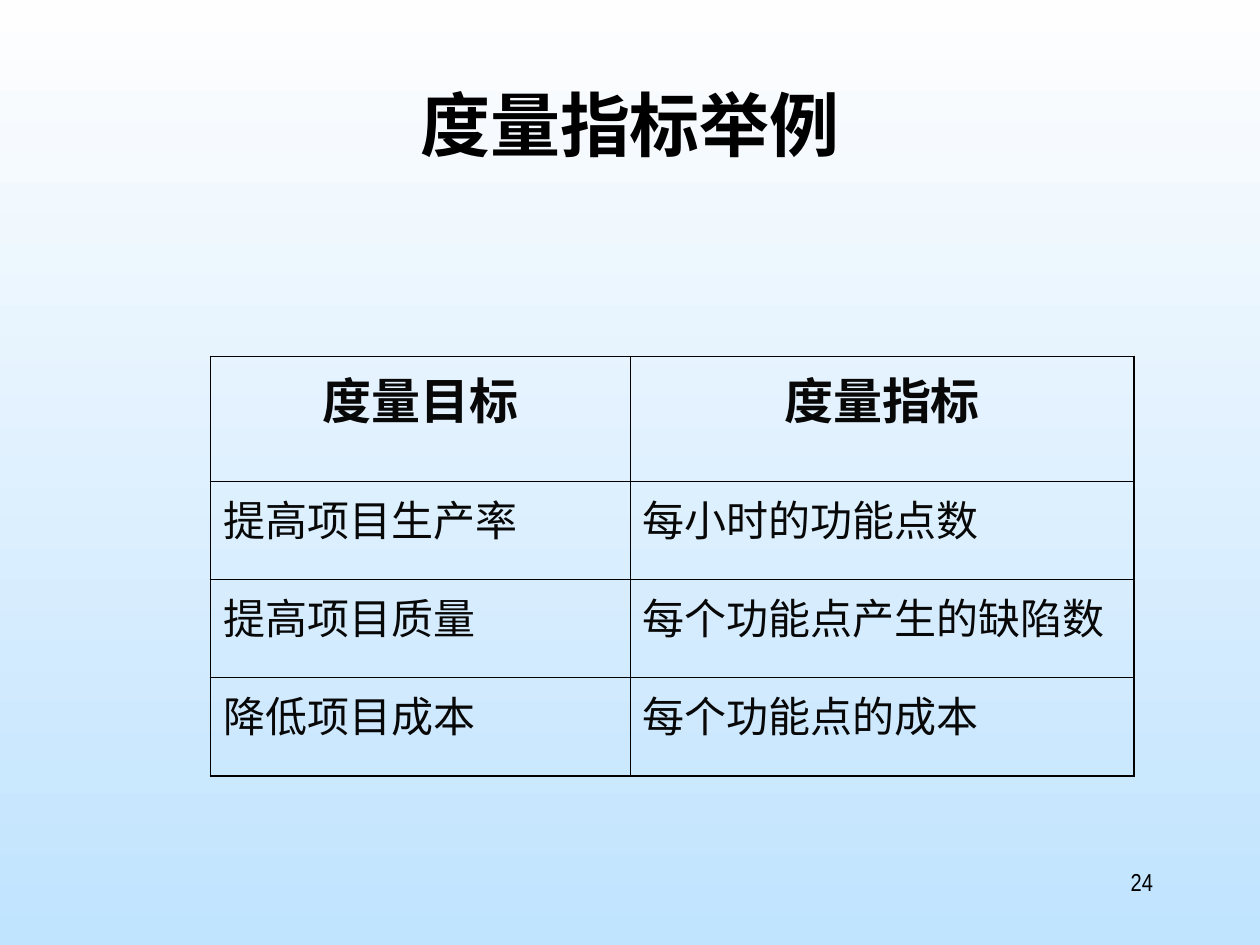
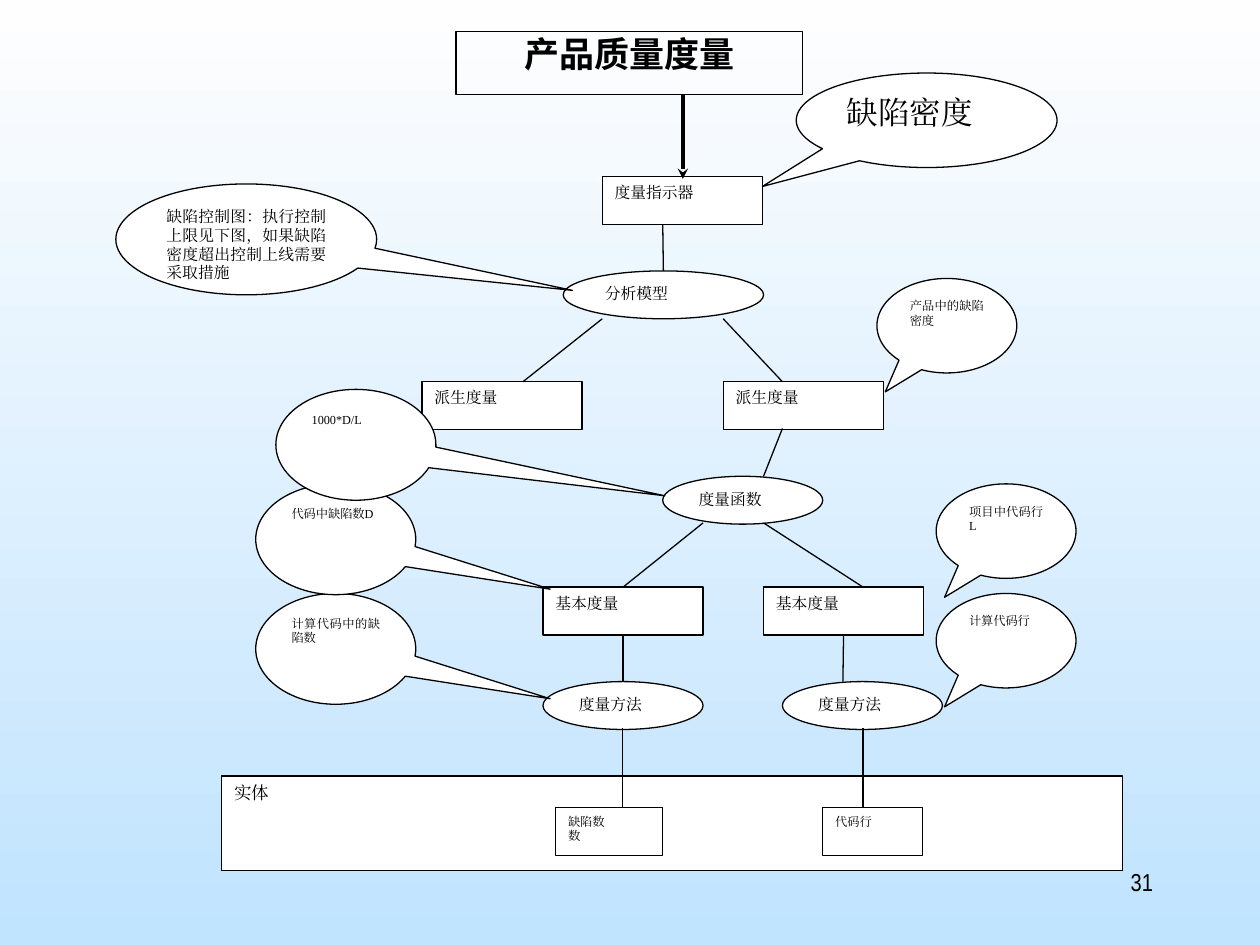
"""Build two slides on software measurement: a table of example metrics and a quality measurement tree."""
from lxml.etree import SubElement
from pptx import Presentation
from pptx.dml.color import RGBColor
from pptx.enum.shapes import MSO_CONNECTOR, MSO_SHAPE as Shape
from pptx.enum.text import MSO_ANCHOR as Anchor, PP_ALIGN as Align
from pptx.oxml import parse_xml
from pptx.oxml.ns import nsdecls, qn
from pptx.util import Inches, Pt

BLACK = RGBColor(0x00, 0x00, 0x00)
NEAR_BLACK = RGBColor(0x08, 0x08, 0x08)
WHITE = RGBColor(0xFF, 0xFF, 0xFF)
SKY_TOP = RGBColor(0xFE, 0xFE, 0xFE)
SKY_BOTTOM = RGBColor(0xC0, 0xE3, 0xFE)
CJK, SERIF, NARROW, MONO = "Noto Sans CJK SC", "Times New Roman", "Arial Narrow", "Noto Sans Mono"

METRICS_TITLE = "度量指标举例"
METRICS = [
    ("度量目标", "度量指标"),
    ("提高项目生产率", "每小时的功能点数"),
    ("提高项目质量", "每个功能点产生的缺陷数"),
    ("降低项目成本", "每个功能点的成本"),
]
COLUMN_WIDTHS = (3.33, 4)
ROW_HEIGHTS = (0.99, 0.78, 0.78, 0.78)
OUTER, INNER = 1.08, 0.45

QUALITY_TITLE = "产品质量度量"
BOX, OVAL = Shape.RECTANGLE, Shape.OVAL
NODE_W, NODE_H = 1.27, 0.38
NODES = {
    "indicator": ("度量指示器", BOX, 4.78, 1.4, NODE_W, NODE_H, 9),
    "model": ("分析模型", OVAL, 4.47, 2.15, 1.59, NODE_H, 9),
    "derived_left": ("派生度量", BOX, 3.35, 3.03, NODE_W, NODE_H, 9),
    "derived_right": ("派生度量", BOX, 5.74, 3.03, NODE_W, NODE_H, 9),
    "function": ("度量函数", OVAL, 5.26, 3.78, NODE_W, NODE_H, 9),
    "base_left": ("基本度量", BOX, 4.31, 4.66, NODE_W, NODE_H, 9),
    "base_right": ("基本度量", BOX, 6.06, 4.66, NODE_W, NODE_H, 9),
    "method_left": ("度量方法", OVAL, 4.31, 5.41, NODE_W, NODE_H, 9),
    "method_right": ("度量方法", OVAL, 6.21, 5.41, NODE_W, NODE_H, 9),
    "entity": ("实体", BOX, 1.76, 6.16, 7.15, 0.75, 10),
    "defects": ("缺陷数\n数", BOX, 4.41, 6.41, 0.85, NODE_H, 7),
    "code_lines": ("代码行", BOX, 6.53, 6.41, 0.79, NODE_H, 7),
}
TOP, BOTTOM = 0, 2
LINKS = [
    ((5.26, 1.78), (5.26, 2.15), None, ("model", TOP)),
    ((4.78, 2.53), (4.15, 3.03), None, None),
    ((5.74, 2.53), (6.21, 3.03), None, None),
    ((6.21, 3.4), (6.06, 3.78), None, None),
    ((5.58, 4.15), (4.94, 4.66), None, ("base_left", TOP)),
    ((6.06, 4.15), (6.85, 4.66), None, None),
    ((4.94, 5.03), (4.94, 5.41), ("base_left", BOTTOM), ("method_left", TOP)),
    ((6.69, 5.03), (6.69, 5.41), ("base_right", BOTTOM), None),
    ((4.94, 5.78), (4.94, 6.41), None, None),
    ((6.85, 5.78), (6.85, 6.41), None, None),
]
CALLOUTS = [
    ("计算代码行", 7.43, 4.71, 1.11, 0.75, 7, (-0.44, 0.7)),
    ("计算代码中的缺陷数", 2.03, 4.71, 1.27, 0.88, 7, (1.34, 0.45)),
    ("项目中代码行L", 7.43, 3.84, 1.11, 0.75, 7, (-0.44, 0.7)),
    ("代码中缺陷数D", 2.03, 3.84, 1.27, 0.88, 7, (1.34, 0.45)),
    ("1000*D/L", 2.19, 3.09, 1.27, 0.88, 7, (1.93, 0.46)),
    ("产品中的缺陷密度", 6.96, 2.21, 1.11, 0.75, 7, (-0.44, 0.7)),
    ("缺陷控制图：执行控制上限见下图，如果缺陷密度超出控制上线需要采取措施",
     0.92, 1.46, 2.07, 0.88, 9, (1.25, 0.46)),
    ("缺陷密度", 6.32, 0.58, 2.07, 0.75, 18, (-0.63, 0.7)),
]


def write(frame, text, size, font=SERIF, east_asian=None, color=BLACK, bold=False,
          align=Align.JUSTIFY, spacing=None):
    frame.word_wrap = True
    frame.vertical_anchor = Anchor.TOP
    for index, line in enumerate(text.split("\n")):
        paragraph = frame.add_paragraph() if index else frame.paragraphs[0]
        paragraph.alignment = align
        if spacing:
            paragraph.line_spacing = spacing
        run = paragraph.add_run()
        run.text = line
        run.font.size, run.font.bold, run.font.name = Pt(size), bold, font
        run.font.color.rgb = color
        SubElement(run.font._element, qn("a:ea")).set("typeface", east_asian or font)


def add_node(slide, text, kind, left, top, width, height, size):
    node = slide.shapes.add_shape(kind, *map(Inches, (left, top, width, height)))
    node.shadow.inherit = False
    node.fill.solid()
    node.fill.fore_color.rgb = WHITE
    node.line.color.rgb = BLACK
    node.line.width = Pt(0.75)
    write(node.text_frame, text, size)
    return node


def add_link(slide, start, end, width=0.75):
    link = slide.shapes.add_connector(MSO_CONNECTOR.STRAIGHT, *map(Inches, start + end))
    link.line.color.rgb = BLACK
    link.line.width = Pt(width)
    SubElement(link._element.spPr, qn("a:effectLst"))
    return link


def add_slide(deck, number):
    slide = deck.slides.add_slide(deck.slide_layouts[6])
    sky = slide.background.fill
    sky.gradient()
    sky.gradient_angle = 270
    for stop, color, position in zip(sky.gradient_stops, (SKY_TOP, SKY_BOTTOM), (0, 1)):
        stop.color.rgb = color
        stop.position = position
    page = slide.shapes.add_textbox(*map(Inches, (7.17, 6.83, 2.08, 0.5)))
    write(page.text_frame, str(number), 14, font=NARROW, align=Align.RIGHT)
    return slide


def add_title(slide, text, place, size):
    title = slide.shapes.add_textbox(*map(Inches, place))
    write(title.text_frame, text, size, font=CJK, bold=True, align=Align.CENTER, spacing=0.9)
    return title


def set_borders(cell, widths):
    for position, (side, width) in enumerate(widths.items()):
        cell._tc.get_or_add_tcPr().insert(position, parse_xml(
            f'<a:ln{side} {nsdecls("a")} w="{Pt(width)}"><a:solidFill>'
            f'<a:srgbClr val="{BLACK}"/></a:solidFill></a:ln{side}>'))


def build_metrics(deck):
    slide = add_slide(deck, 24)
    add_title(slide, METRICS_TITLE, (0.75, 0.67, 8.5, 1.25), 40)
    last_row, last_column = len(METRICS) - 1, len(COLUMN_WIDTHS) - 1
    table = slide.shapes.add_table(
        last_row + 1, last_column + 1,
        *map(Inches, (1.67, 2.83, sum(COLUMN_WIDTHS), sum(ROW_HEIGHTS)))).table
    table.first_row = table.horz_banding = False
    for column, width in zip(table.columns, COLUMN_WIDTHS):
        column.width = Inches(width)
    for r, (row, height) in enumerate(zip(METRICS, ROW_HEIGHTS)):
        table.rows[r].height = Inches(height)
        for c, text in enumerate(row):
            cell = table.cell(r, c)
            cell.fill.background()
            if r == 0:
                write(cell.text_frame, text, 28, font=(NARROW, MONO)[c], east_asian=CJK,
                      color=NEAR_BLACK, bold=True, align=Align.CENTER)
            else:
                write(cell.text_frame, text, 24, font=CJK, color=NEAR_BLACK)
            set_borders(cell, {
                "L": OUTER if c == 0 else INNER,
                "R": OUTER if c == last_column else INNER,
                "T": OUTER if r == 0 else INNER,
                "B": OUTER if r == last_row else INNER,
            })


def build_quality(deck):
    slide = add_slide(deck, 31)
    title = add_title(slide, QUALITY_TITLE, (3.62, 0.25, 2.75, 0.5), 20)
    title.line.color.rgb = BLACK
    title.line.width = Pt(0.75)
    nodes = {key: add_node(slide, *node) for key, node in NODES.items()}
    for start, end, source, target in LINKS:
        link = add_link(slide, start, end)
        if source:
            link.begin_connect(nodes[source[0]], source[1])
        if target:
            link.end_connect(nodes[target[0]], target[1])
    for text, left, top, width, height, size, tip in CALLOUTS:
        callout = add_node(slide, text, Shape.OVAL_CALLOUT, left, top, width, height, size)
        callout.adjustments[0], callout.adjustments[1] = tip
    arrow = add_link(slide, (5.42, 0.75), (5.42, 1.42), width=2)
    SubElement(arrow.line._get_or_add_ln(), qn("a:tailEnd")).set("type", "stealth")


def main():
    deck = Presentation()
    deck.slide_width, deck.slide_height = Inches(10), Inches(7.5)
    build_metrics(deck)
    build_quality(deck)
    deck.save("out.pptx")


if __name__ == "__main__":
    main()
